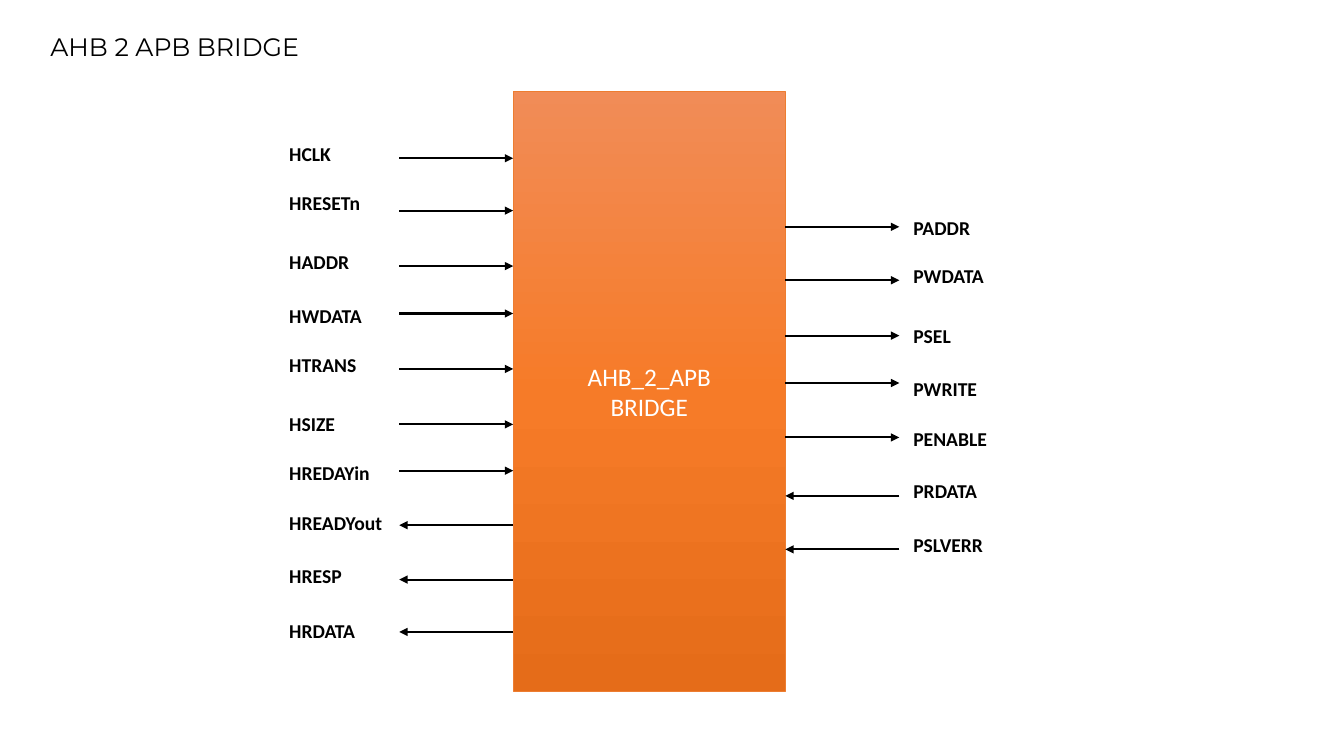
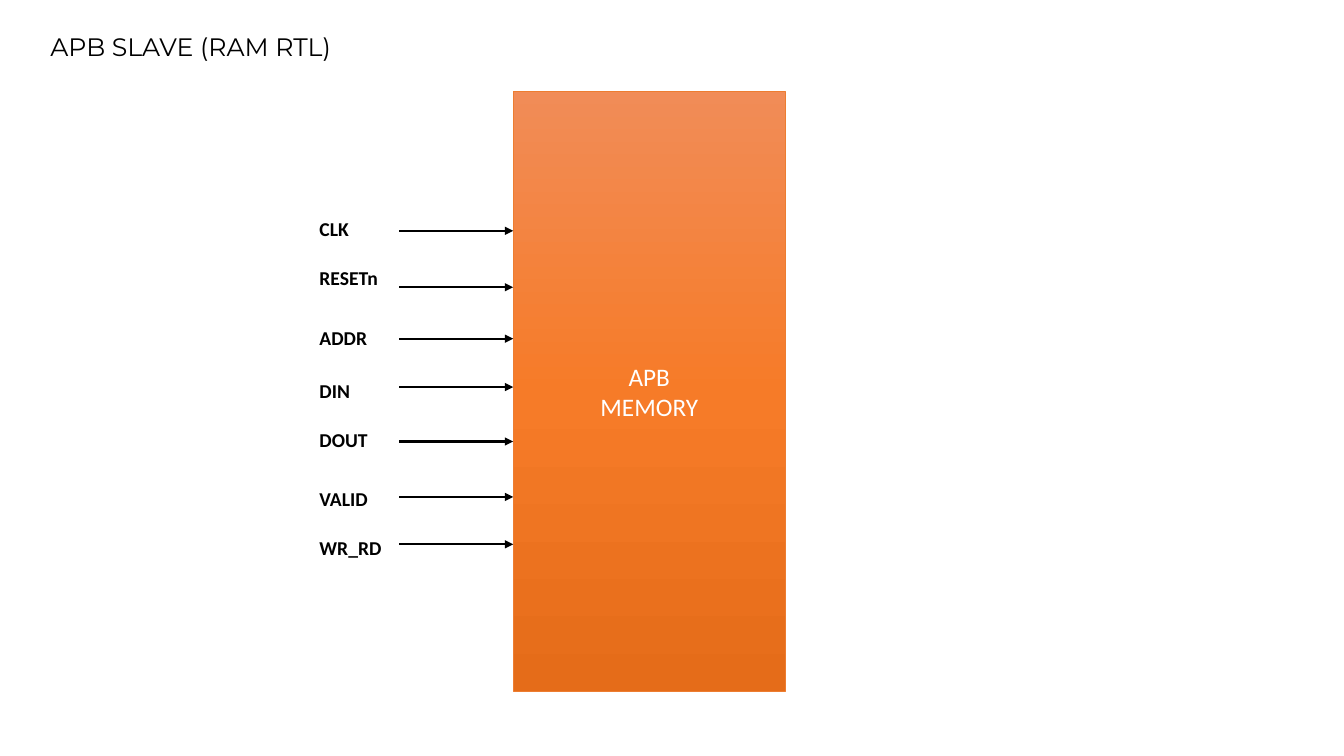
from copy import deepcopy

from lxml import etree
from pptx import Presentation
from pptx.dml.color import RGBColor
from pptx.enum.shapes import MSO_CONNECTOR, MSO_SHAPE
from pptx.enum.text import MSO_ANCHOR, PP_ALIGN
from pptx.oxml.ns import qn
from pptx.util import Inches, Pt

RECT, STRAIGHT = MSO_SHAPE.RECTANGLE, MSO_CONNECTOR.STRAIGHT
LEFT, CENTER = PP_ALIGN.LEFT, PP_ALIGN.CENTER
TOP, MIDDLE = MSO_ANCHOR.TOP, MSO_ANCHOR.MIDDLE
TITLE_ONLY = 5

COLORS = {"ink": "000000", "white": "FFFFFF", "edge": "ED7D31",
          "light": "F18C57", "mid": "F67B28", "dark": "E56C19"}
GRADIENT = [(0, "light"), (0.5, "mid"), (1, "dark")]

TITLE_FONT = {"name": "Montserrat", "size": Pt(18), "bold": False}
BLOCK_FONT = {"name": "Calibri", "size": Pt(18)}
LABEL_FONT = {"name": "Calibri", "size": Pt(14), "bold": True}

TITLE_BOX = (0.4, 0.26, 6.66, 0.4)
BLOCK_BOX = (5.09, 0.91, 2.7, 5.95)
LABEL_W, LABEL_H = 1.3, 0.36
ARROW_LEN = 1.13

# Each port: name, label top, arrow height, enters the block
AHB_PORTS = [
    ("HCLK", 1.39, 1.57, True),
    ("HRESETn", 1.87, 2.09, True),
    ("HADDR", 2.46, 2.64, True),
    ("HWDATA", 2.99, 3.11, True),
    ("HTRANS", 3.48, 3.66, True),
    ("HSIZE", 4.06, 4.21, True),
    ("HREDAYin", 4.55, 4.67, True),
    ("HREADYout", 5.05, 5.21, False),
    ("HRESP", 5.57, 5.75, False),
    ("HRDATA", 6.12, 6.27, False),
]
APB_PORTS = [
    ("PADDR", 2.12, 2.25, False),
    ("PWDATA", 2.6, 2.78, False),
    ("PSEL", 3.19, 3.33, False),
    ("PWRITE", 3.72, 3.8, False),
    ("PENABLE", 4.21, 4.34, False),
    ("PRDATA", 4.73, 4.92, True),
    ("PSLVERR", 5.26, 5.45, True),
]
RAM_PORTS = [
    ("CLK", 2.1, 2.29, True),
    ("RESETn", 2.59, 2.85, True),
    ("ADDR", 3.18, 3.36, True),
    ("DIN", 3.71, 3.84, True),
    ("DOUT", 4.2, 4.38, True),
    ("VALID", 4.78, 4.93, True),
    ("WR_RD", 5.27, 5.4, True),
]


def rgb(name):
    return RGBColor.from_string(COLORS[name])


def inches(box):
    return [Inches(v) for v in box]


def write(p, text, font, color, align=LEFT):
    p.alignment = align
    r = p.add_run()
    r.text = text
    for key, value in font.items():
        setattr(r.font, key, value)
    r.font.color.rgb = rgb(color)


def add_title(slide, text, box):
    sp = slide.shapes.title
    sp.left, sp.top, sp.width, sp.height = inches(box)
    tf = sp.text_frame
    tf.vertical_anchor = TOP
    write(tf.paragraphs[0], text, TITLE_FONT, "ink")


def fill_gradient(sp):
    """Fill from top to bottom with the three stops of GRADIENT."""
    sp.fill.gradient()
    sp.fill.gradient_angle = 270
    stops = next(sp._element.spPr.iter(qn("a:gsLst")))
    stops.append(deepcopy(stops[-1]))
    for stop, (position, color) in zip(sp.fill.gradient_stops, GRADIENT):
        stop.position = position
        stop.color.rgb = rgb(color)


def add_block(slide, lines, box):
    sp = slide.shapes.add_shape(RECT, *inches(box))
    sp.shadow.inherit = False
    fill_gradient(sp)
    sp.line.color.rgb = rgb("edge")
    sp.line.width = Pt(0.5)
    tf = sp.text_frame
    tf.vertical_anchor = MIDDLE
    for i, line in enumerate(lines):
        p = tf.add_paragraph() if i else tf.paragraphs[0]
        write(p, line, BLOCK_FONT, "white", CENTER)


def add_arrow(slide, x1, x2, y):
    cn = slide.shapes.add_connector(STRAIGHT, *inches((x1, y, x2, y)))
    cn.line.color.rgb = rgb("ink")
    cn.line.width = Pt(1.5)
    etree.SubElement(cn.line._get_or_add_ln(), qn("a:tailEnd"), type="triangle")
    etree.SubElement(cn._element.spPr, qn("a:effectLst"))


def add_label(slide, text, x, y, spacing):
    sp = slide.shapes.add_textbox(*inches((x, y, LABEL_W, LABEL_H)))
    tf = sp.text_frame
    tf.word_wrap = True
    p = tf.paragraphs[0]
    p.line_spacing = spacing
    write(p, text, LABEL_FONT, "ink")


def add_ports(slide, ports, edge, side, label_gap, spacing):
    """Place ports along a block edge; side is -1 for left and 1 for right."""
    outer = edge + side * ARROW_LEN
    for name, label_y, arrow_y, enters in ports:
        start, end = (outer, edge) if enters else (edge, outer)
        add_arrow(slide, start, end, arrow_y)
        add_label(slide, name, edge + side * label_gap, label_y, spacing)


def add_block_slide(prs, title, lines, left, right, left_gap, spacing):
    slide = prs.slides.add_slide(prs.slide_layouts[TITLE_ONLY])
    add_title(slide, title, TITLE_BOX)
    add_block(slide, lines, BLOCK_BOX)
    x, _, w, _ = BLOCK_BOX
    add_ports(slide, left, x, -1, left_gap, spacing)
    add_ports(slide, right, x + w, 1, 1.17, spacing)


def main():
    prs = Presentation()
    prs.slide_width, prs.slide_height = Inches(13.33), Inches(7.5)
    add_block_slide(prs, "AHB 2 APB BRIDGE", ["AHB_2_APB", "BRIDGE"],
                    AHB_PORTS, APB_PORTS, left_gap=2.32, spacing=0.9)
    add_block_slide(prs, "APB SLAVE (RAM RTL)", ["APB", "MEMORY"],
                    RAM_PORTS, [], left_gap=2.02, spacing=1.0)
    prs.save("out.pptx")


if __name__ == "__main__":
    main()
